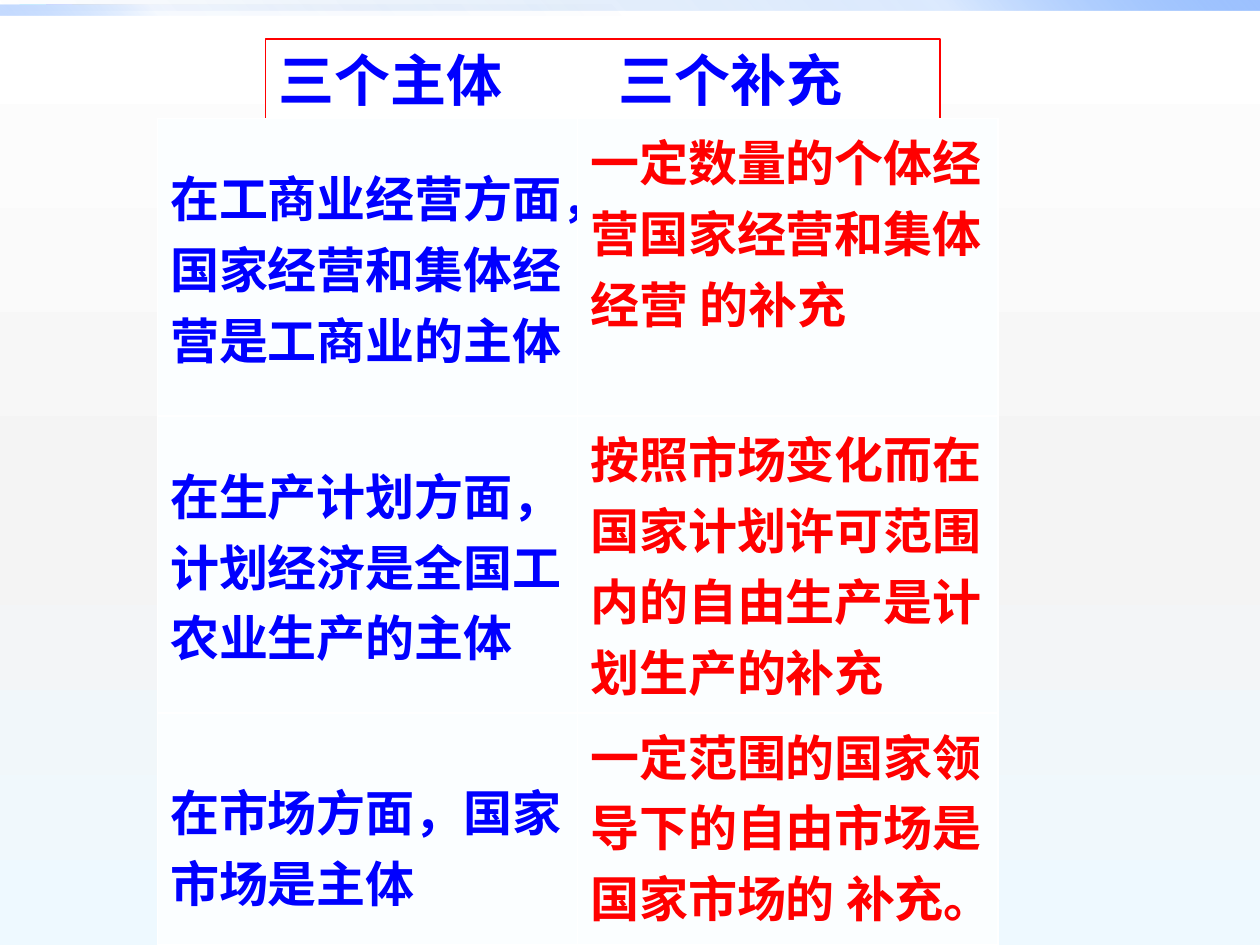
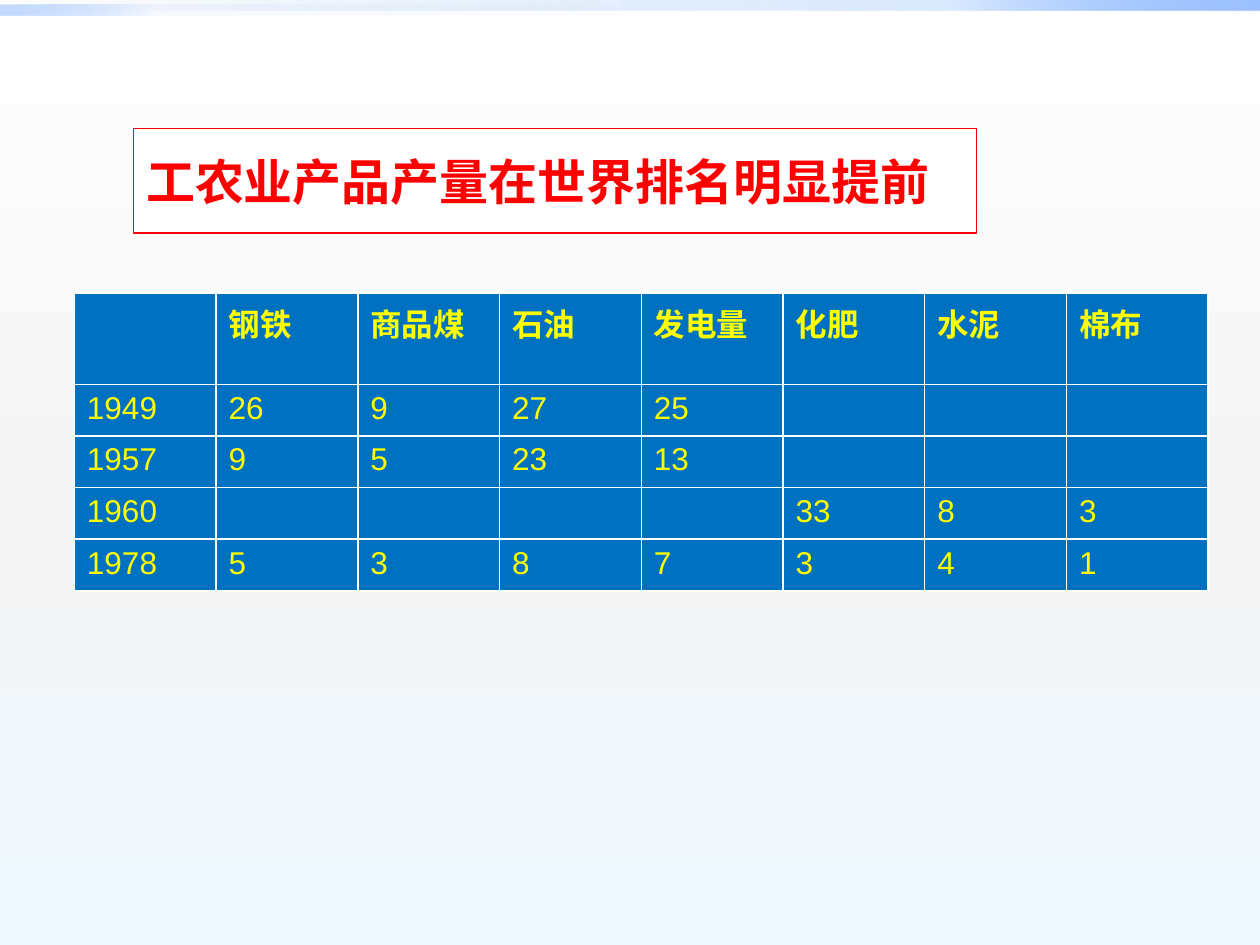
"""Build two slides: main bodies with their supplements, and output rankings."""
from dataclasses import dataclass

from lxml.etree import SubElement
from pptx import Presentation
from pptx.dml.color import RGBColor
from pptx.enum.shapes import MSO_SHAPE
from pptx.enum.text import MSO_ANCHOR, MSO_AUTO_SIZE, PP_ALIGN
from pptx.oxml import parse_xml
from pptx.oxml.ns import nsdecls, qn
from pptx.util import Inches, Pt


@dataclass(frozen=True)
class Theme:
    blue: str = "0000FF"
    red: str = "FF0000"
    yellow: str = "FFFF00"
    white: str = "FFFFFF"
    pale: str = "FBFEFF"
    table_blue: str = "0070C0"
    serif: str = "Times New Roman"
    sans: str = "Arial"
    heading: int = 32
    statement: int = 28
    figure: int = 18
    outline: float = 0.75


THEME = Theme()
BACKDROP = (90, [(0, "FFFFFF", 100), (55, "F4F4F4", 100), (100, "EEF9FF", 100)])
BANDS = [
    ((0, 0, 10, 0.08), 315, [(0, "0058B7", 0), (75, "4F95FF", 20), (100, "9EC2FF", 100)]),
    ((0, 0.04, 5, 0.08), 135, [(0, "0058B7", 0), (75, "4F95FF", 5), (100, "9EC2FF", 60)]),
]

BODIES_HEADING = "三个主体\t三个补充"
BODIES = [
    ("在工商业经营方面，国家经营和集体经营是工商业的主体",
     "一定数量的个体经营国家经营和集体经营 的补充"),
    ("在生产计划方面，计划经济是全国工农业生产的主体",
     "按照市场变化而在国家计划许可范围内的自由生产是计划生产的补充"),
    ("在市场方面，国家市场是主体",
     "一定范围的国家领导下的自由市场是国家市场的 补充。"),
]
BODY_HEIGHTS = [2.36, 2.36, 1.84]
BODY_INSETS = [0.34, 0.34, 0.49]

RANKING_HEADING = "工农业产品产量在世界排名明显提前"
RANKINGS = [
    ("", "钢铁", "商品煤", "石油", "发电量", "化肥", "水泥", "棉布"),
    ("1949", "26", "9", "27", "25", "", "", ""),
    ("1957", "9", "5", "23", "13", "", "", ""),
    ("1960", "", "", "", "", "33", "8", "3"),
    ("1978", "5", "3", "8", "7", "3", "4", "1"),
]
RANKING_HEIGHTS = [0.72] + [0.41] * 4


def box(left, top, width, height):
    return [Inches(length) for length in (left, top, width, height)]


def apply(target, formats):
    for name, value in formats.items():
        setattr(target, name, value)


def gradient(angle, stops):
    marks = "".join(
        f'<a:gs pos="{place * 1000}"><a:srgbClr val="{color}">'
        f'<a:alpha val="{opacity * 1000}"/></a:srgbClr></a:gs>'
        for place, color, opacity in stops)
    return parse_xml(f'<a:gradFill {nsdecls("a")} rotWithShape="1"><a:gsLst>{marks}</a:gsLst>'
                     f'<a:lin ang="{angle * 60000}" scaled="0"/></a:gradFill>')


def fill_gradient(fill, holder, angle, stops):
    fill.solid()
    solid = holder.find(".//" + qn("a:solidFill"))
    solid.getparent().replace(solid, gradient(angle, stops))


def write(frame, text, color, **formats):
    run = frame.paragraphs[0].add_run()
    run.text = text
    apply(run.font, formats)
    run.font.color.rgb = RGBColor.from_string(color)


def decorate_master(master, slide):
    fill_gradient(master.background.fill, master.element.cSld, *BACKDROP)
    for order, (place, angle, stops) in enumerate(BANDS):
        band = slide.shapes.add_shape(MSO_SHAPE.RECTANGLE, *box(*place))
        band.shadow.inherit = False
        band.line.fill.background()
        fill_gradient(band.fill, band.element.spPr, angle, stops)
        band.element.nvSpPr.cNvPr.set("id", str(100 + order))
        master.shapes.element.insert(2 + order, band.element)


def add_heading(slide, text, place, size, color, tab=None):
    title = slide.shapes.title
    apply(title, dict(zip(("left", "top", "width", "height"), box(*place))))
    title.fill.solid()
    title.fill.fore_color.rgb = RGBColor.from_string(THEME.white)
    title.line.color.rgb = RGBColor.from_string(THEME.red)
    title.line.width = Pt(THEME.outline)
    frame = title.text_frame
    apply(frame, {"auto_size": MSO_AUTO_SIZE.NONE, "word_wrap": True,
                  "vertical_anchor": MSO_ANCHOR.MIDDLE, "margin_top": 0, "margin_bottom": 0})
    paragraph = frame.paragraphs[0]
    paragraph.alignment = PP_ALIGN.LEFT
    if tab:
        tabs = SubElement(paragraph._p.get_or_add_pPr(), qn("a:tabLst"))
        SubElement(tabs, qn("a:tab"), pos=str(Inches(tab)), algn="l")
    write(frame, text, color, size=Pt(size), bold=True, name=THEME.serif)


def add_grid(slide, rows, place, heights, fill):
    grid = slide.shapes.add_table(len(rows), len(rows[0]), *box(*place, sum(heights))).table
    grid.horz_banding = False
    for row, height in zip(grid.rows, heights):
        row.height = Inches(height)
    for cell in grid.iter_cells():
        cell.fill.solid()
        cell.fill.fore_color.rgb = RGBColor.from_string(fill)
    return grid


def build_bodies(slide):
    add_heading(slide, BODIES_HEADING, (2.11, 0.31, 5.35, 0.64),
                THEME.heading, THEME.blue, tab=2.7)
    grid = add_grid(slide, BODIES, (1.25, 0.94, 6.67), BODY_HEIGHTS, THEME.pale)
    for r, statements in enumerate(BODIES):
        grid.cell(r, 0).margin_top = Inches(BODY_INSETS[r])
        for c, (statement, color) in enumerate(zip(statements, (THEME.blue, THEME.red))):
            write(grid.cell(r, c).text_frame, statement, color,
                  size=Pt(THEME.statement), bold=True, name=THEME.serif)


def build_rankings(slide):
    add_heading(slide, RANKING_HEADING, (1.06, 1.02, 6.69, 0.83),
                THEME.statement, THEME.red)
    grid = add_grid(slide, RANKINGS, (0.59, 2.33, 9), RANKING_HEIGHTS, THEME.table_blue)
    for r, ranks in enumerate(RANKINGS):
        for c, rank in enumerate(ranks):
            if rank:
                write(grid.cell(r, c).text_frame, rank, THEME.yellow,
                      size=Pt(THEME.figure), bold=r == 0, name=THEME.sans)


def main():
    deck = Presentation()
    deck.slide_width, deck.slide_height = Inches(10), Inches(7.5)
    title_only = deck.slide_layouts[5]
    bodies, rankings = [deck.slides.add_slide(title_only) for _ in range(2)]
    decorate_master(deck.slide_master, bodies)
    build_bodies(bodies)
    build_rankings(rankings)
    deck.save("out.pptx")


if __name__ == "__main__":
    main()
